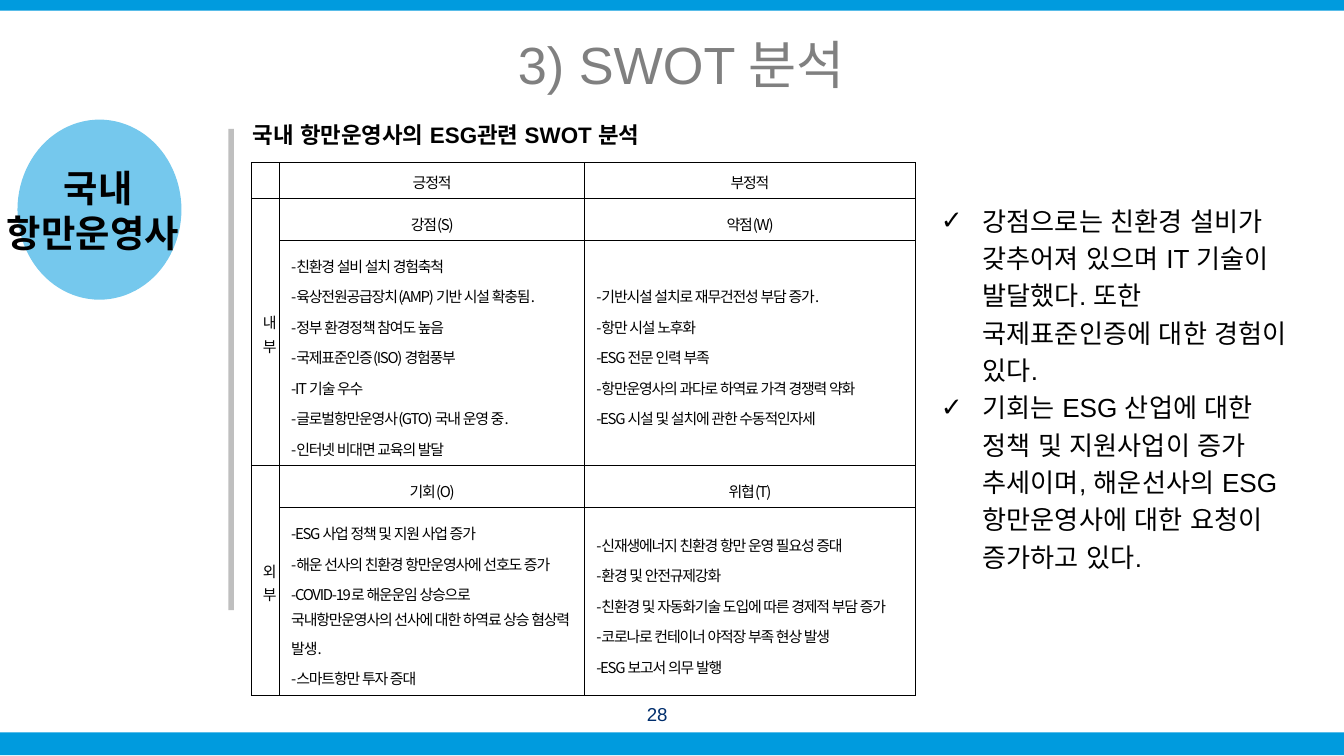
from dataclasses import dataclass

from lxml import etree
from pptx import Presentation
from pptx import util as u
from pptx.dml.color import RGBColor
from pptx.enum import shapes, text
from pptx.oxml import ns


@dataclass(frozen=True)
class Theme:
    blue: str = "009BDE"
    navy: str = "002E6D"
    black: str = "000000"
    title_gray: str = "808080"
    rule_gray: str = "BFBFBF"
    font: str = "Arial"
    cjk_font: str = "Noto Sans CJK KR"
    title: int = 28
    badge: int = 20
    body: int = 14
    heading: int = 12
    number: int = 10
    cell: int = 8


LEFT, CENTER = text.PP_ALIGN.LEFT, text.PP_ALIGN.CENTER
TOP, MIDDLE = text.MSO_ANCHOR.TOP, text.MSO_ANCHOR.MIDDLE


def set_all(target, values):
    for name, value in values.items():
        setattr(target, name, value)


def add_xml(parent, tag, **attributes):
    return etree.SubElement(parent, ns.qn(tag), attributes)


def split_scripts(line):
    """Split a line into (is_ascii, text) parts; spaces stay with the part before."""
    parts = []
    for char in line:
        is_ascii = char.isascii()
        if parts and (char == " " or parts[-1][0] == is_ascii):
            parts[-1][1] += char
        else:
            parts.append([is_ascii, char])
    return parts


class SlideBuilder:
    def __init__(self, slide, theme):
        self.slide, self.theme = slide, theme

    def place(self, shape, box):
        set_all(shape, dict(zip(("left", "top", "width", "height"), map(u.Inches, box))))

    def run(self, paragraph, words, size, color=None, bold=False, font=None):
        font = font or self.theme.font
        run = paragraph.add_run()
        run.text = words
        set_all(run.font, {"name": font, "size": u.Pt(size), "bold": bold})
        run.font.color.rgb = RGBColor.from_string(color or self.theme.black)
        add_xml(run.font._element, "a:ea", typeface=font)
        return run

    def paragraphs(self, frame, lines):
        frame.text = "\n".join([""] * len(lines))
        return zip(frame.paragraphs, lines)

    def frame(self, shape, anchor):
        frame = shape.text_frame
        set_all(frame, {"word_wrap": True, "auto_size": text.MSO_AUTO_SIZE.NONE,
                        "vertical_anchor": anchor, "margin_left": 0, "margin_right": 0,
                        "margin_top": 0, "margin_bottom": 0})
        return frame

    def block(self, kind, box, color, alpha=None):
        shape = self.slide.shapes.add_shape(kind, *map(u.Inches, box))
        shape.shadow.inherit = False
        shape.fill.solid()
        shape.fill.fore_color.rgb = RGBColor.from_string(color)
        shape.line.fill.background()
        if alpha:
            tint = shape._element.spPr.find(".//" + ns.qn("a:srgbClr"))
            add_xml(tint, "a:alpha", val=str(alpha * 1000))

    def label(self, words, box, size, align=CENTER, anchor=MIDDLE, spacing=None, **style):
        shape = self.slide.shapes.add_textbox(*map(u.Inches, box))
        paragraph = self.frame(shape, anchor).paragraphs[0]
        set_all(paragraph, {"alignment": align, "line_spacing": spacing})
        self.run(paragraph, words, size, **style)

    def title(self, words, box):
        shape = self.slide.shapes.title
        self.place(shape, box)
        paragraph = self.frame(shape, MIDDLE).paragraphs[0]
        paragraph.alignment = CENTER
        self.run(paragraph, words, self.theme.title, self.theme.title_gray)

    def checklist(self, items, box):
        shape = self.slide.placeholders[1]
        self.place(shape, box)
        indent = u.Inches(0.31)
        for paragraph, item in self.paragraphs(self.frame(shape, TOP), items):
            set_all(paragraph, {"alignment": LEFT, "line_spacing": u.Pt(20),
                                "space_before": u.Pt(0)})
            properties = paragraph._p.get_or_add_pPr()
            for name, value in {"marL": indent, "indent": -indent}.items():
                properties.set(name, str(value))
            add_xml(properties, "a:buFont", typeface=self.theme.font)
            add_xml(properties, "a:buChar", char="✓")
            self.run(paragraph, item, self.theme.body)

    def cell(self, cell, lines, align):
        set_all(cell, {"vertical_anchor": MIDDLE,
                       "margin_left": u.Pt(6.2), "margin_right": u.Pt(6.2),
                       "margin_top": u.Pt(3.2), "margin_bottom": u.Pt(3.2)})
        cell.fill.background()
        for paragraph, line in self.paragraphs(cell.text_frame, lines):
            set_all(paragraph, {"alignment": align, "line_spacing": 1.4})
            for is_ascii, words in split_scripts(line):
                font = self.theme.cjk_font if is_ascii else self.theme.font
                run = self.run(paragraph, words, self.theme.cell, font=font)
                run.font._element.set("spc", "-70")
            if not line:
                paragraph._p.get_or_add_endParaRPr().set("sz", str(self.theme.cell * 100))
        # Cell borders go before the fill
        properties = cell._tc.get_or_add_tcPr()
        for position, side in enumerate("LRTB"):
            border = etree.Element(ns.qn(f"a:ln{side}"), w=str(u.Pt(0.56)))
            add_xml(add_xml(border, "a:solidFill"), "a:srgbClr", val=self.theme.black)
            properties.insert(position, border)

    def table(self, rows, box, widths, heights, spans, list_rows):
        holder = self.slide.shapes.add_table(len(rows), len(widths), *map(u.Inches, box))
        table = holder.table
        set_all(table, {"first_row": False, "horz_banding": False})
        for column, width in zip(table.columns, widths):
            column.width = u.Inches(width)
        for row, height in zip(table.rows, heights):
            row.height = u.Inches(height)
        for r, row in enumerate(rows):
            for c, lines in enumerate(row):
                align = LEFT if r in list_rows and c else CENTER
                self.cell(table.cell(r, c), lines, align)
        for first, last in spans:
            table.cell(first, 0).merge(table.cell(last, 0))


STRENGTHS = ["-친환경 설비 설치 경험축척", "-육상전원공급장치(AMP) 기반 시설 확충됨.",
             "-정부 환경정책 참여도 높음", "-국제표준인증(ISO) 경험풍부", "-IT 기술 우수",
             "-글로벌항만운영사(GTO) 국내 운영 중.", "-인터넷 비대면 교육의 발달"]
WEAKNESSES = ["-기반시설 설치로 재무건전성 부담 증가.", "-항만 시설 노후화", "-ESG 전문 인력 부족",
              "-항만운영사의 과다로 하역료 가격 경쟁력 약화", "-ESG 시설 및 설치에 관한 수동적인자세"]
OPPORTUNITIES = ["-ESG 사업 정책 및 지원 사업 증가", "-해운 선사의 친환경 항만운영사에 선호도 증가",
                 "-COVID-19로 해운운임 상승으로 국내항만운영사의 선사에 대한 하역료 상승 혐상력 발생.",
                 "-스마트항만 투자 증대"]
THREATS = ["-신재생에너지 친환경 항만 운영 필요성 증대", "-환경 및 안전규제강화",
           "-친환경 및 자동화기술 도입에 따른 경제적 부담 증가",
           "-코로나로 컨테이너 야적장 부족 현상 발생", "-ESG 보고서 의무 발행"]
SWOT = [
    [[""], ["긍정적"], ["부정적"]],
    [["내부"], ["강점(S)"], ["약점(W)"]],
    [[""], STRENGTHS, WEAKNESSES],
    [["외부"], ["기회(O)"], ["위협(T)"]],
    [[""], OPPORTUNITIES, THREATS],
]
FINDINGS = [
    "강점으로는 친환경 설비가 갖추어져 있으며 IT 기술이 발달했다. 또한 국제표준인증에 대한 경험이 있다.",
    "기회는 ESG 산업에 대한 정책 및 지원사업이 증가 추세이며, 해운선사의 ESG 항만운영사에 대한 요청이 증가하고 있다.",
]


def main():
    deck = Presentation()
    width = u.Inches(10)
    set_all(deck, {"slide_width": width, "slide_height": width * 9 // 16})
    theme = Theme()
    page = SlideBuilder(deck.slides.add_slide(deck.slide_layouts[1]), theme)
    rectangle, oval = shapes.MSO_SHAPE.RECTANGLE, shapes.MSO_SHAPE.OVAL

    # Edge bars and divider
    page.block(rectangle, (0, 0, 10, 0.08), theme.blue)
    page.block(rectangle, (0, 5.45, 10, 0.17), theme.blue)
    page.block(rectangle, (1.7, 0.96, 0.04, 3.58), theme.rule_gray)

    # Title and operator badge
    page.title("3) SWOT 분석", (0.07, 0.2, 10, 0.54))
    page.block(oval, (0.13, 0.89, 1.22, 1.34), theme.blue, alpha=54)
    page.label("국내 항만운영사 ", (0.04, 1.2, 1.38, 0.72), theme.badge, bold=True)

    # SWOT table with its heading
    page.label("국내 항만운영사의 ESG관련 SWOT 분석", (1.88, 0.82, 4.09, 0.29), theme.heading,
               align=LEFT, anchor=TOP, spacing=u.Pt(20), bold=True)
    page.table(SWOT, (1.87, 1.21, 4.94, 3.57), widths=(0.21, 2.27, 2.46),
               heights=(0.24, 0.25, 1.49, 0.25, 1.33), spans=((1, 2), (3, 4)), list_rows=(2, 4))

    # Findings and page number
    page.checklist(FINDINGS, (7, 1.48, 2.63, 3.17))
    page.label("28", (4.64, 5.16, 0.5, 0.3), theme.number, color=theme.navy)

    deck.save("out.pptx")


if __name__ == "__main__":
    main()
